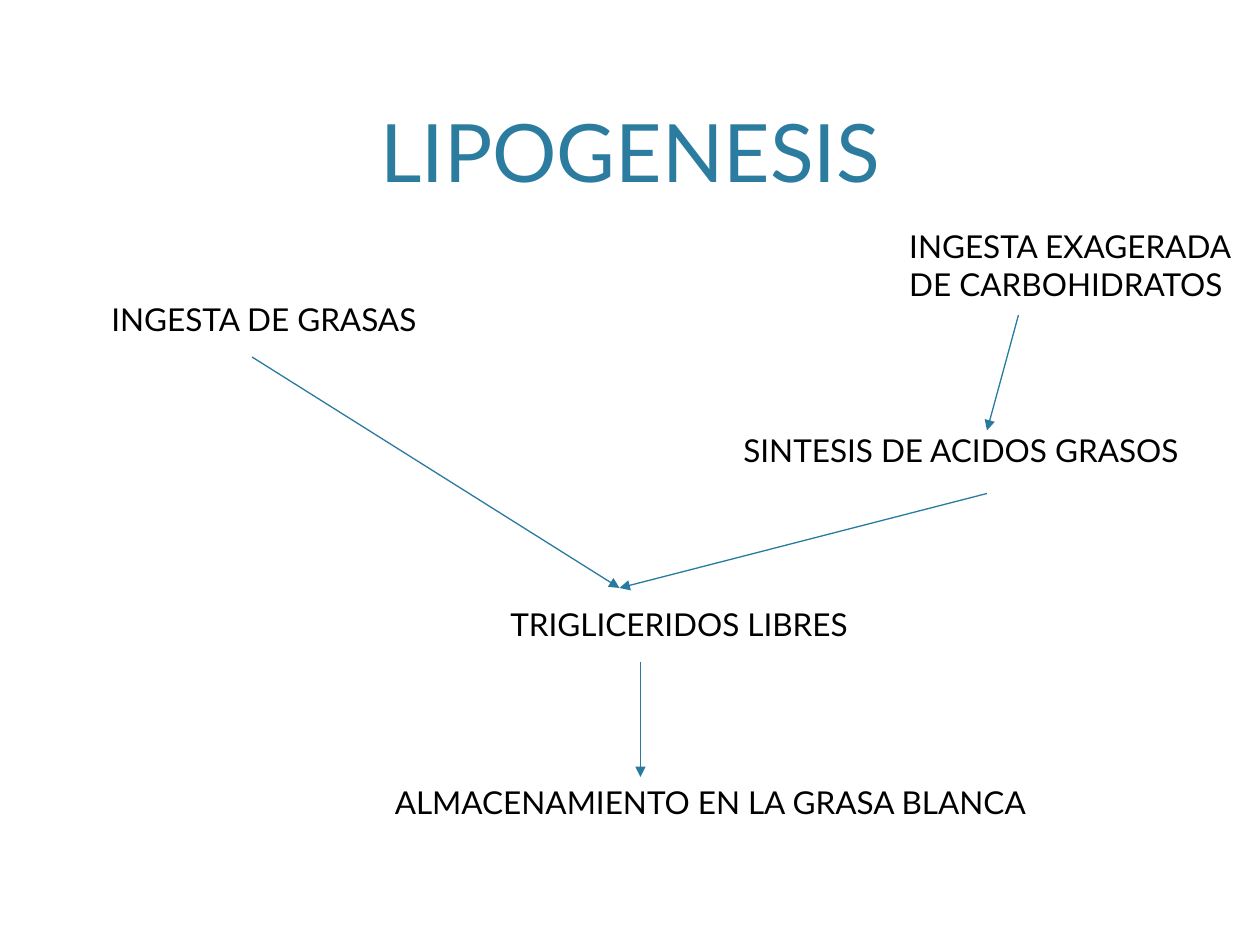
from dataclasses import dataclass

import lxml.etree
import pptx
import pptx.dml.color
import pptx.enum.shapes
import pptx.enum.text
import pptx.oxml.ns
import pptx.util


@dataclass(frozen=True)
class Theme:
    font: str = "Lato"
    title_size: float = 46
    label_size: float = 18
    line_width: float = 0.75
    title_color: str = "2C7C9F"
    text_color: str = "000000"
    arrow_color: str = "287A9E"
    label_inset: float = 0.05


THEME = Theme()
WIDTH, HEIGHT = 10, 7.5
COLUMNS, ROWS = 120, 90

# text, column, row, width and height in inches, wrap
LABELS = [
    ("INGESTA DE GRASAS", 10, 28, 2.71, 0.41, False),
    ("INGESTA EXAGERADA\nDE CARBOHIDRATOS", 86, 21, 2.87, 0.71, False),
    ("SINTESIS DE ACIDOS GRASOS", 70.2, 40.5, 3.97, 0.41, True),
    ("TRIGLICERIDOS LIBRES", 48, 57, 3.02, 0.41, False),
    ("ALMACENAMIENTO EN LA GRASA BLANCA", 37, 74, 5.24, 0.41, False),
]

# start and end as (column, row)
ARROWS = [
    ((24, 34), (59, 56)),
    ((97, 30), (94, 41)),
    ((94, 47), (59, 56)),
    ((61, 63), (61, 74)),
]


def grid_point(column, row):
    return (pptx.util.Inches(column * WIDTH / COLUMNS),
            pptx.util.Inches(row * HEIGHT / ROWS))


def write_text(frame, text, *, size, color, align, anchor, inset=0, wrap=True,
               fit=pptx.enum.text.MSO_AUTO_SIZE.NONE):
    """Fill a text frame, one paragraph for each line of the text."""
    frame.margin_left = frame.margin_right = pptx.util.Inches(inset)
    frame.margin_top = frame.margin_bottom = pptx.util.Inches(inset)
    frame.word_wrap = wrap
    frame.auto_size = fit
    frame.vertical_anchor = anchor
    frame.text = text
    for para in frame.paragraphs:
        para.alignment = align
        for span in para.runs:
            span.font.name = THEME.font
            span.font.size = pptx.util.Pt(size)
            span.font.color.rgb = pptx.dml.color.RGBColor.from_string(color)


def add_title(page, text):
    title = page.shapes.title
    title.left, title.top = pptx.util.Inches(0.6), pptx.util.Inches(0.12)
    title.width, title.height = pptx.util.Inches(8.8), pptx.util.Inches(1.46)
    write_text(title.text_frame, text, size=THEME.title_size,
               color=THEME.title_color, align=pptx.enum.text.PP_ALIGN.CENTER,
               anchor=pptx.enum.text.MSO_ANCHOR.BOTTOM)


def add_label(page, text, column, row, width, height, wrap):
    box = page.shapes.add_textbox(*grid_point(column, row),
                                  pptx.util.Inches(width), pptx.util.Inches(height))
    write_text(box.text_frame, text, size=THEME.label_size,
               color=THEME.text_color, align=pptx.enum.text.PP_ALIGN.LEFT,
               anchor=pptx.enum.text.MSO_ANCHOR.TOP, inset=THEME.label_inset,
               wrap=wrap, fit=pptx.enum.text.MSO_AUTO_SIZE.SHAPE_TO_FIT_TEXT)


def add_arrow(page, start, end):
    arrow = page.shapes.add_connector(pptx.enum.shapes.MSO_CONNECTOR.STRAIGHT,
                                      *grid_point(*start), *grid_point(*end))
    arrow.line.width = pptx.util.Pt(THEME.line_width)
    arrow.line.color.rgb = pptx.dml.color.RGBColor.from_string(THEME.arrow_color)
    qn = pptx.oxml.ns.qn
    properties = arrow.element.spPr
    lxml.etree.SubElement(properties.find(qn("a:ln")), qn("a:tailEnd"), type="triangle")
    lxml.etree.SubElement(properties, qn("a:effectLst"))


def main():
    deck = pptx.Presentation()
    deck.slide_width = pptx.util.Inches(WIDTH)
    deck.slide_height = pptx.util.Inches(HEIGHT)
    page = deck.slides.add_slide(deck.slide_layouts.get_by_name("Title Only"))
    add_title(page, "LIPOGENESIS")
    for label in LABELS:
        add_label(page, *label)
    for start, end in ARROWS:
        add_arrow(page, start, end)
    deck.save("out.pptx")


if __name__ == "__main__":
    main()
